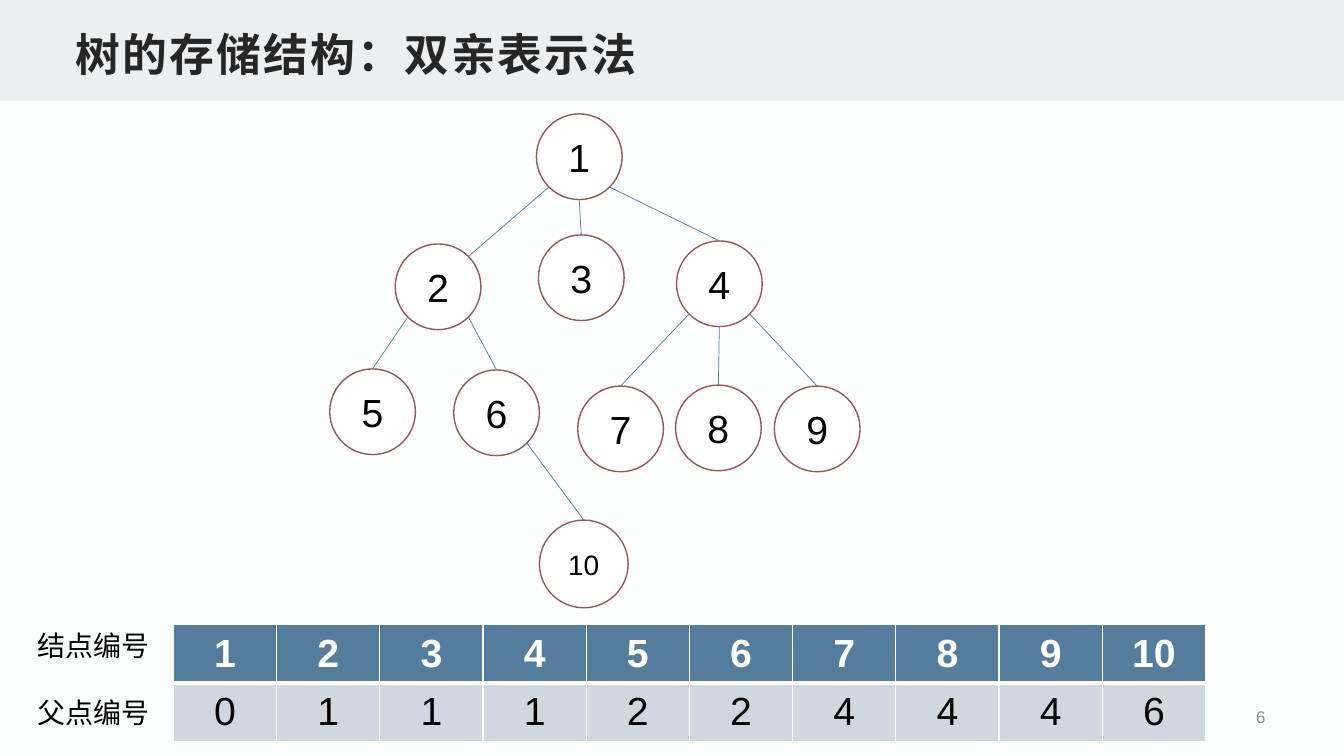
from dataclasses import dataclass
from math import sqrt

from lxml import etree
from pptx import Presentation
from pptx.dml.color import RGBColor
from pptx.enum.shapes import MSO_CONNECTOR, MSO_SHAPE
from pptx.enum.text import MSO_ANCHOR, PP_ALIGN
from pptx.oxml.ns import qn
from pptx.util import Inches, Pt

LEFT, CENTER, RIGHT = PP_ALIGN.LEFT, PP_ALIGN.CENTER, PP_ALIGN.RIGHT
TOP, MIDDLE, BOTTOM = MSO_ANCHOR.TOP, MSO_ANCHOR.MIDDLE, MSO_ANCHOR.BOTTOM
RECT, OVAL = MSO_SHAPE.RECTANGLE, MSO_SHAPE.OVAL
STRAIGHT = MSO_CONNECTOR.STRAIGHT


@dataclass(frozen=True)
class Theme:
    font: str = "Arial"
    page: str = "FCFDFD"
    band: str = "ECEEEF"
    title: str = "262626"
    text: str = "000000"
    white: str = "FFFFFF"
    muted: str = "8C8C8C"
    accent: str = "547D9D"
    row: str = "D1D7DF"
    ring: str = "9D5458"
    title_size: int = 32
    node_size: int = 28
    label_size: int = 20
    number_size: int = 12


THEME = Theme()

# Parent of each node 1..10; 0 marks the root
PARENTS = [0, 1, 1, 1, 2, 2, 4, 4, 4, 6]

# Node number: left, top, width, height
NODES = {
    1: (5.32, 1.13, 0.85, 0.85),
    2: (3.92, 2.42, 0.85, 0.85),
    3: (5.34, 2.33, 0.85, 0.85),
    4: (6.71, 2.39, 0.85, 0.85),
    5: (3.27, 3.66, 0.85, 0.85),
    6: (4.5, 3.67, 0.85, 0.85),
    7: (5.73, 3.83, 0.85, 0.85),
    8: (6.7, 3.82, 0.85, 0.85),
    9: (7.68, 3.83, 0.85, 0.85),
    10: (5.35, 5.16, 0.88, 0.87),
}


def rgb(value):
    return RGBColor.from_string(value)


def write(tf, text, size=THEME.label_size, color=THEME.text, bold=False,
          align=LEFT, anchor=TOP, spacing=None):
    tf.word_wrap = True
    tf.vertical_anchor = anchor
    p = tf.paragraphs[0]
    p.alignment = align
    r = p.add_run()
    r.text = text
    r.font.name = THEME.font
    r.font.size = Pt(size)
    r.font.bold = bold
    r.font.color.rgb = rgb(color)
    if spacing:
        r.font._element.set("spc", str(int(spacing * 100)))


def add_text(slide, box, text, margins=(0.1, 0.05), **fmt):
    tf = slide.shapes.add_textbox(*map(Inches, box)).text_frame
    tf.margin_left = tf.margin_right = Inches(margins[0])
    tf.margin_top = tf.margin_bottom = Inches(margins[1])
    write(tf, text, **fmt)


def add_shape(slide, kind, box, fill, line=None):
    sp = slide.shapes.add_shape(kind, *map(Inches, box))
    sp.shadow.inherit = False
    sp.fill.solid()
    sp.fill.fore_color.rgb = rgb(fill)
    if line:
        sp.line.color.rgb = rgb(line)
        sp.line.width = Pt(1)
    else:
        sp.line.fill.background()
    return sp


def add_node(slide, number, box):
    sp = add_shape(slide, OVAL, box, THEME.white, THEME.ring)
    tf = sp.text_frame
    tf.margin_left = tf.margin_right = tf.margin_top = tf.margin_bottom = 0
    size = THEME.node_size if number < 10 else THEME.label_size
    write(tf, str(number), size=size, align=CENTER, anchor=MIDDLE)
    return sp


def rim_point(sp, dx, dy):
    """Point on a circle's rim in one of eight directions."""
    scale = sqrt(dx * dx + dy * dy) * 2
    return (int(sp.left + sp.width / 2 + dx * sp.width / scale),
            int(sp.top + sp.height / 2 + dy * sp.height / scale))


def add_edge(slide, parent, child, side, to_corner=False):
    start = rim_point(parent, side, 1)
    end = rim_point(child, 1 if to_corner else 0, -1)
    line = slide.shapes.add_connector(STRAIGHT, *start, *end)
    if not to_corner:
        line.end_connect(child, 0)
    line.line.color.rgb = rgb(THEME.accent)
    line.line.width = Pt(0.5)
    etree.SubElement(line._element.spPr, qn("a:effectLst"))


def add_tree(slide):
    nodes = {n: add_node(slide, n, box) for n, box in NODES.items()}
    for child, parent in enumerate(PARENTS, 1):
        if parent:
            # Leave from the bottom when the child is almost straight below
            shift = NODES[child][0] - NODES[parent][0]
            side = 0 if abs(shift) < 0.1 else 1 if shift > 0 else -1
            add_edge(slide, nodes[parent], nodes[child], side, child == 2)


def set_border(cell, edge, width):
    ln = etree.Element(qn(f"a:ln{edge}"), w=str(Pt(width)))
    fill = etree.SubElement(ln, qn("a:solidFill"))
    etree.SubElement(fill, qn("a:srgbClr"), val=THEME.white)
    return ln


def style_cell(cell, text, header):
    cell.fill.solid()
    cell.fill.fore_color.rgb = rgb(THEME.accent if header else THEME.row)
    cell.vertical_anchor = MIDDLE
    write(cell.text_frame, text, size=THEME.node_size, bold=header,
          color=THEME.white if header else THEME.text,
          align=CENTER, anchor=MIDDLE)
    # Thick rule between the two rows, thin rules elsewhere
    thick = "B" if header else "T"
    tc_pr = cell._tc.get_or_add_tcPr()
    for i, edge in enumerate("LRTB"):
        tc_pr.insert(i, set_border(cell, edge, 3 if edge == thick else 1))


def add_parent_table(slide, box):
    rows = [list(NODES), PARENTS]
    frame = slide.shapes.add_table(len(rows), len(PARENTS),
                                   *map(Inches, box))
    for i, values in enumerate(rows):
        for j, value in enumerate(values):
            style_cell(frame.table.cell(i, j), str(value), header=i == 0)


def main():
    prs = Presentation()
    prs.slide_width, prs.slide_height = Inches(13.33), Inches(7.5)
    slide = prs.slides.add_slide(prs.slide_layouts[6])
    slide.background.fill.solid()
    slide.background.fill.fore_color.rgb = rgb(THEME.page)

    # Title band and page number
    add_shape(slide, RECT, (0, 0, 13.33, 1), THEME.band)
    add_text(slide, (9.7, 6.94, 2.95, 0.35), "6", size=THEME.number_size,
             color=THEME.muted, align=RIGHT, anchor=MIDDLE)
    add_text(slide, (0.67, 0.17, 12, 0.67), "树的存储结构：双亲表示法",
             margins=(0.08, 0.04), size=THEME.title_size, color=THEME.title,
             bold=True, anchor=BOTTOM, spacing=1.5)

    # Parent table with its row labels
    add_parent_table(slide, (1.72, 6.19, 10.24, 1.17))
    for top, label in ((6.19, "结点编号"), (6.85, "父点编号")):
        add_text(slide, (0.27, top, 1.31, 0.44), label)

    # Tree
    add_tree(slide)

    prs.save("out.pptx")


if __name__ == "__main__":
    main()
